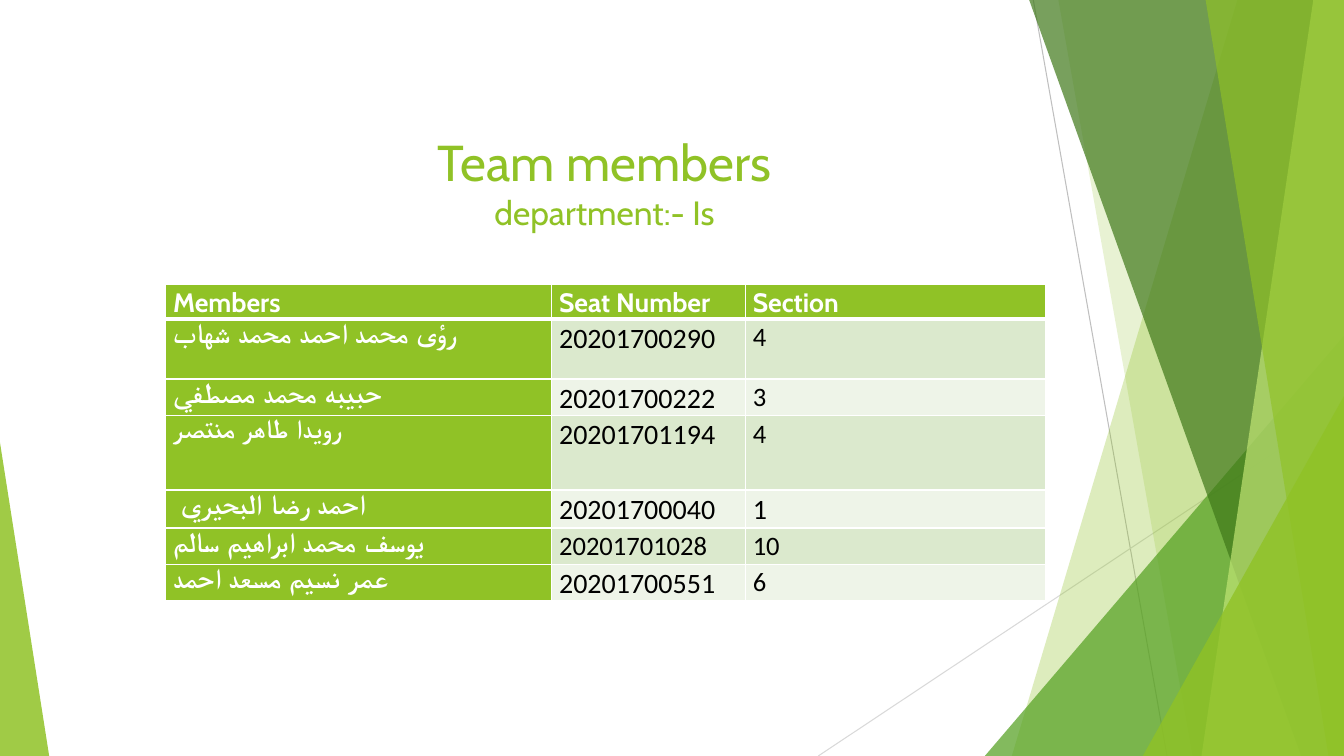
from dataclasses import dataclass

from lxml import etree
from pptx import Presentation
from pptx.dml.color import RGBColor
from pptx.enum import shapes, text
from pptx.oxml import ns
from pptx.util import Cm, Pt

LIME = RGBColor(0x90, 0xC2, 0x26)
GREEN = RGBColor(0x54, 0xA0, 0x21)
DARK = RGBColor(0x3F, 0x78, 0x19)
PALE = RGBColor(0xC0, 0xE4, 0x74)
SILVER = RGBColor(0xBF, 0xBF, 0xBF)
MIST = RGBColor(0xD9, 0xD9, 0xD9)
WHITE = RGBColor(0xFF, 0xFF, 0xFF)
BLACK = RGBColor(0, 0, 0)
BANDS = (RGBColor(0xDB, 0xE9, 0xCD), RGBColor(0xEE, 0xF4, 0xE8))

WIDE, HIGH = 33.87, 19.05
TOP = -0.02


@dataclass
class Ray:
    start: tuple[float, float]
    end: tuple[float, float]
    color: RGBColor


@dataclass
class Facet:
    """Panel from a slanted left side to the right edge of the slide."""
    top: float
    foot: float
    color: RGBColor
    alpha: int


@dataclass
class Peak:
    """Right triangle standing on the bottom of the slide."""
    left: float
    top: float
    width: float
    tip: float
    color: RGBColor
    alpha: int


@dataclass
class Member:
    name: str
    seat: str
    group: str
    height: float
    sizes: tuple[int, int, int] = (20, 20, 19)


RAYS = [
    Ray((26.04, 0), (29.41, HIGH), SILVER),
    Ray((WIDE, 10.24), (20.62, HIGH), MIST),
]
DECOR = [
    Facet(31.19, 25.5, LIME, 30),
    Facet(26.67, 30.05, LIME, 20),
    Peak(24.82, 8.46, 9.05, 1, GREEN, 72),
    Facet(25.93, 32.79, DARK, 70),
    Facet(33.1, 30.28, PALE, 70),
    Facet(30.38, 33.48, LIME, 65),
    Peak(28.8, 9.98, 5.07, 1, LIME, 80),
    Peak(0, 11.15, 1.24, 0, LIME, 85),
]
HEADS = Member("Members", "Seat Number", "Section", 0.86, (19, 19, 19))
TEAM = [
    Member("رؤى محمد احمد محمد شهاب", "20201700290", "4", 1.51),
    Member("حبيبه محمد مصطفي", "20201700222", "3", 0.91),
    Member("رويدا طاهر منتصر", "20201701194", "4", 1.87, (19, 20, 19)),
    Member(" احمد رضا البحيري", "20201700040", "1", 0.96, (20, 20, 20)),
    Member("يوسف محمد ابراهيم سالم", "20201701028", "10", 0.91, (20, 19, 19)),
    Member("عمر نسيم مسعد احمد", "20201700551", "6", 0.93),
]
COLS = (9.73, 4.88, 7.56)


def write(para, words: str, *, size: float, color: RGBColor,
          font: str = "Cabin", bold: bool = False) -> None:
    run = para.add_run()
    run.text = words
    run.font.name = font
    run.font.size = Pt(size)
    run.font.bold = bold
    run.font.color.rgb = color


def paint(shape, color: RGBColor, alpha: int) -> None:
    shape.shadow.inherit = False
    shape.line.fill.background()
    shape.fill.solid()
    shape.fill.fore_color.rgb = color
    tint = shape.element.spPr.find(ns.qn("a:solidFill"))[0]
    etree.SubElement(tint, ns.qn("a:alpha"), val=str(alpha * 1000))


def draw_ray(slide, ray: Ray) -> None:
    ends = [Cm(n) for n in (*ray.start, *ray.end)]
    line = slide.shapes.add_connector(shapes.MSO_CONNECTOR.STRAIGHT, *ends)
    line.line.color.rgb = ray.color
    line.line.width = Pt(0.75)
    etree.SubElement(line.element.spPr, ns.qn("a:effectLst"))


def draw_facet(slide, facet: Facet) -> None:
    pen = slide.shapes.build_freeform(Cm(facet.top), Cm(TOP))
    rest = [(WIDE, TOP), (WIDE, HIGH), (facet.foot, HIGH)]
    pen.add_line_segments([(Cm(x), Cm(y)) for x, y in rest], close=True)
    paint(pen.convert_to_shape(), facet.color, facet.alpha)


def draw_peak(slide, peak: Peak) -> None:
    shape = slide.shapes.add_shape(
        shapes.MSO_SHAPE.ISOSCELES_TRIANGLE, Cm(peak.left), Cm(peak.top),
        Cm(peak.width), Cm(HIGH - peak.top))
    shape.adjustments[0] = peak.tip
    paint(shape, peak.color, peak.alpha)


def add_title(slide) -> None:
    title = slide.shapes.title
    title.left, title.top = Cm(-0.03), Cm(2.01)
    title.width, title.height = Cm(30.53), Cm(3.96)
    title.element.getparent().append(title.element)
    frame = title.text_frame
    frame.word_wrap = True
    frame.auto_size = text.MSO_AUTO_SIZE.NONE
    frame.vertical_anchor = text.MSO_ANCHOR.BOTTOM
    para = frame.paragraphs[0]
    para.alignment = text.PP_ALIGN.CENTER
    write(para, "Team members", size=36, color=LIME)
    para.add_line_break()
    write(para, "department:- Is", size=24, color=LIME)


def edge(cell, foot: float) -> None:
    """Give a cell white borders, with the bottom one foot points wide."""
    props = cell._tc.get_or_add_tcPr()
    for side, width in (("L", 1), ("R", 1), ("T", 1), ("B", foot)):
        line = etree.SubElement(props, ns.qn(f"a:ln{side}"), w=str(Pt(width)))
        fill = etree.SubElement(line, ns.qn("a:solidFill"))
        etree.SubElement(fill, ns.qn("a:srgbClr"), val=str(WHITE))


def add_team(slide) -> None:
    rows = [HEADS, *TEAM]
    table = slide.shapes.add_table(
        len(rows), len(COLS), Cm(4.17), Cm(7.17), Cm(sum(COLS)),
        Cm(sum(row.height for row in rows))).table
    for col, width in zip(table.columns, COLS):
        col.width = Cm(width)
    for r, row in enumerate(rows):
        table.rows[r].height = Cm(row.height)
        head = r == 0
        for c, words in enumerate((row.name, row.seat, row.group)):
            cell = table.cell(r, c)
            strong = head or c == 0
            edge(cell, 3 if head else 1)
            cell.fill.solid()
            cell.fill.fore_color.rgb = LIME if strong else BANDS[(r - 1) % 2]
            cell.margin_left = cell.margin_right = Cm(0.19)
            cell.margin_top = cell.margin_bottom = 0
            para = cell.text_frame.paragraphs[0]
            para.line_spacing = 1.07
            para.space_after = Pt(8)
            write(para, words, size=row.sizes[c], bold=strong,
                  color=WHITE if strong else BLACK,
                  font="Cabin" if head else "Calibri")


def main() -> None:
    deck = Presentation()
    deck.slide_width, deck.slide_height = Cm(WIDE), Cm(HIGH)
    slide = deck.slides.add_slide(deck.slide_layouts[5])
    for ray in RAYS:
        draw_ray(slide, ray)
    for item in DECOR:
        if isinstance(item, Facet):
            draw_facet(slide, item)
        else:
            draw_peak(slide, item)
    add_title(slide)
    add_team(slide)
    deck.save("out.pptx")


if __name__ == "__main__":
    main()
